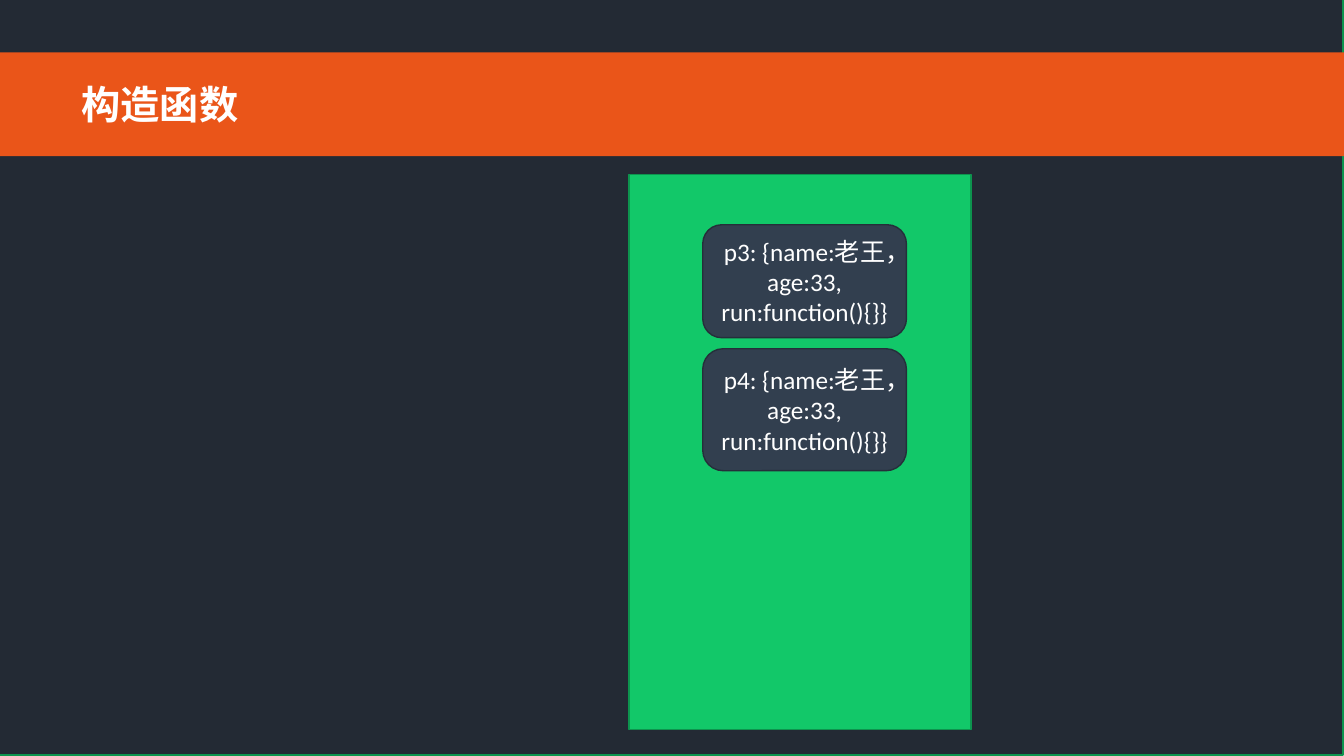
"""Build the constructor function slide with two person objects in memory."""
from dataclasses import dataclass

from lxml import etree
from pptx import Presentation
from pptx.dml.color import RGBColor
from pptx.enum import shapes, text
from pptx.oxml import ns
from pptx.util import Inches, Pt


@dataclass(frozen=True)
class Theme:
    backdrop: str = "232A34"
    band: str = "EA5519"
    memory: str = "12C869"
    memory_edge: str = "0D944E"
    card: str = "323F4F"
    card_edge: str = "252F3A"
    ink: str = "FFFFFF"
    latin: str = "Calibri"
    cjk: str = "Noto Sans CJK SC"
    title_size: int = 28
    card_size: int = 18


THEME = Theme()
RECT = shapes.MSO_SHAPE.RECTANGLE
ROUNDED = shapes.MSO_SHAPE.ROUNDED_RECTANGLE


def apply(target, values):
    for name, value in values.items():
        setattr(target, name, value)


def add_panel(slide, kind, box, fill, edge=None):
    panel = slide.shapes.add_shape(kind, *map(Inches, box))
    panel.shadow.inherit = False
    panel.fill.solid()
    panel.fill.fore_color.rgb = RGBColor.from_string(fill)
    if edge:
        panel.line.color.rgb = RGBColor.from_string(edge)
        panel.line.width = Pt(1)
    else:
        panel.line.fill.background()
    return panel


def write(frame, words, align, font, size, bold=False):
    paragraph = frame.paragraphs[0]
    paragraph.alignment = align
    run = paragraph.add_run()
    run.text = words
    apply(run.font, {"name": font, "size": Pt(size), "bold": bold})
    run.font.color.rgb = RGBColor.from_string(THEME.ink)
    east_asian = etree.SubElement(run.font._element, ns.qn("a:ea"))
    east_asian.set("typeface", THEME.cjk)


def add_title(slide, words, box):
    title = slide.shapes.title
    left, top, width, height = map(Inches, box)
    apply(title, {"left": left, "top": top, "width": width, "height": height})
    apply(title.text_frame, {
        "word_wrap": True,
        "auto_size": text.MSO_AUTO_SIZE.SHAPE_TO_FIT_TEXT,
        "vertical_anchor": text.MSO_ANCHOR.TOP,
    })
    write(title.text_frame, words, text.PP_ALIGN.LEFT,
          THEME.cjk, THEME.title_size, bold=True)
    slide.shapes._spTree.append(title._element)


def add_person(slide, person, top, height):
    card = add_panel(slide, ROUNDED, (6.97, top, 2.02, height),
                     THEME.card, THEME.card_edge)
    apply(card.text_frame, {
        "word_wrap": True,
        "vertical_anchor": text.MSO_ANCHOR.MIDDLE,
    })
    words = f"{person}: {{name:老王，age:33, run:function(){{}}}}"
    write(card.text_frame, words, text.PP_ALIGN.CENTER,
          THEME.latin, THEME.card_size)


def main():
    deck = Presentation()
    apply(deck, {"slide_width": Inches(13.33), "slide_height": Inches(7.5)})
    slide = deck.slides.add_slide(deck.slide_layouts[5])
    add_panel(slide, RECT, (-0.01, -0.01, 13.33, 7.5),
              THEME.backdrop, THEME.memory_edge)
    add_panel(slide, RECT, (0, 0.52, 13.33, 1.03), THEME.band)
    add_title(slide, "构造函数", (0.71, 0.75, 10.57, 0.57))
    add_panel(slide, RECT, (6.24, 1.73, 3.39, 5.51),
              THEME.memory, THEME.memory_edge)
    for person, top, height in (("p3", 2.23, 1.12), ("p4", 3.46, 1.21)):
        add_person(slide, person, top, height)
    deck.save("out.pptx")


if __name__ == "__main__":
    main()
